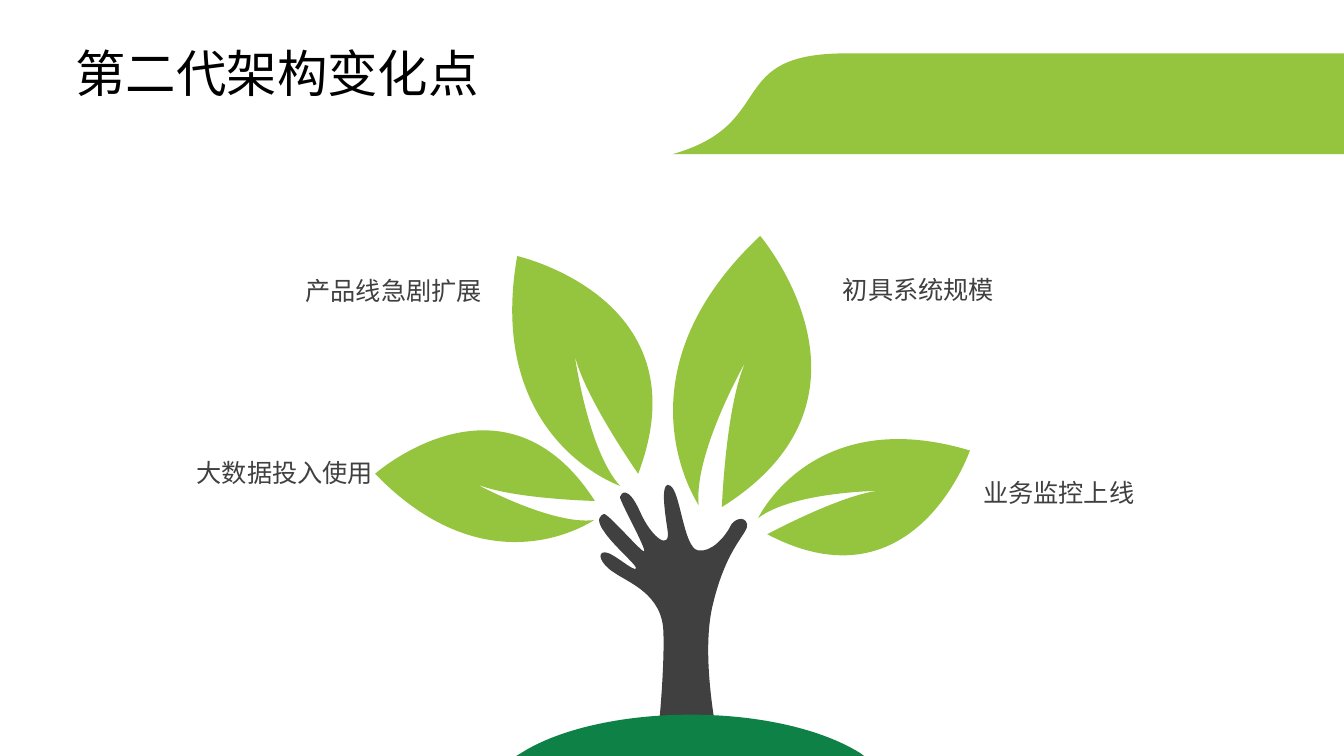
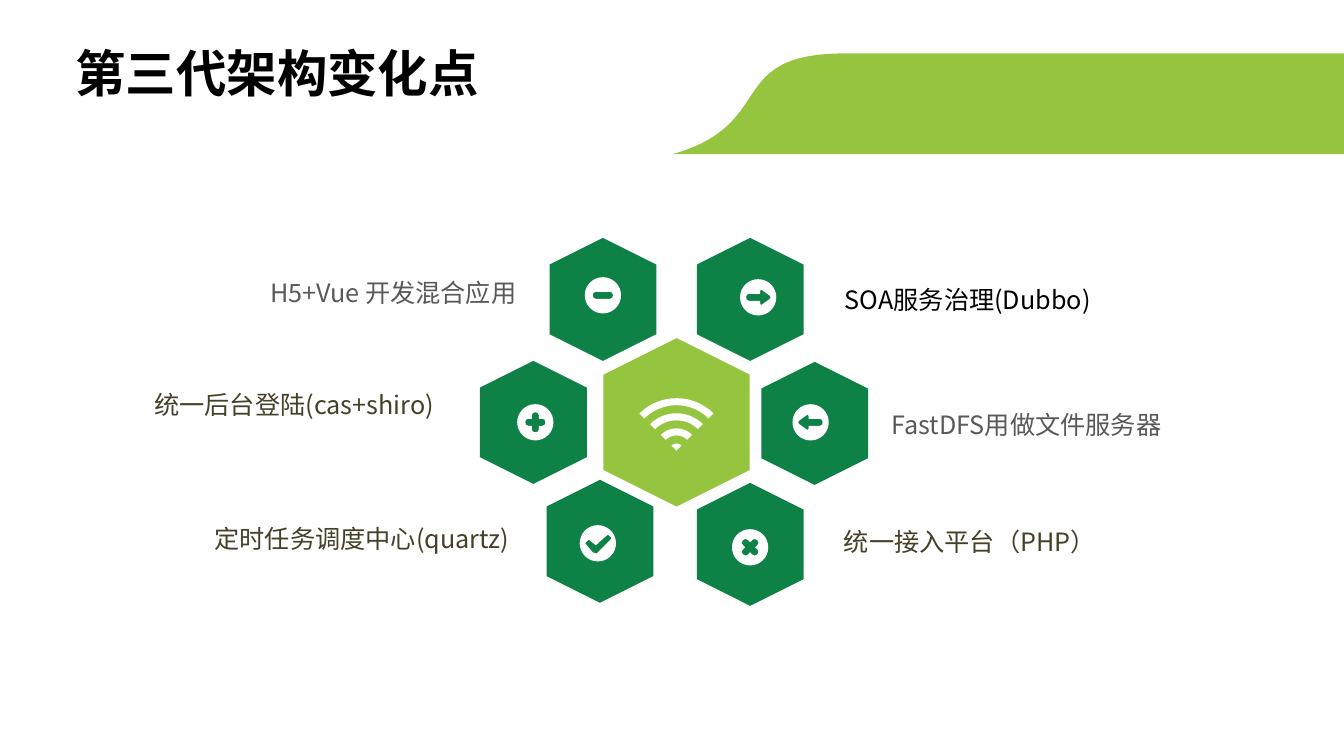
import math
from dataclasses import dataclass

from lxml import etree
from pptx import Presentation
from pptx.dml.color import RGBColor
from pptx.enum import shapes, text
from pptx.oxml import ns
from pptx.util import Inches, Pt


@dataclass(frozen=True)
class Theme:
    lime: str = "95C53E"
    green: str = "0E8146"
    charcoal: str = "404040"
    gray: str = "595959"
    olive: str = "454027"
    black: str = "000000"
    white: str = "FFFFFF"
    latin: str = "Calibri"
    chinese: str = "Noto Sans CJK SC"
    title_size: int = 36
    label_size: int = 18


THEME = Theme()
LEFT, RIGHT = text.PP_ALIGN.LEFT, text.PP_ALIGN.RIGHT

# Outlines: a start point, then segments. Two numbers make a line, six a Bezier
# curve, four a curve whose first control point is the current point.
BAND = [(8.39, 0.53), (13.33, 0.53), (13.33, 1.53), (6.67, 1.53),
        (7.73, 1.23, 7.17, 0.53, 8.39, 0.53)]
HAND = [
    (6.62, 4.81), (6.63, 4.81, 6.64, 4.81, 6.65, 4.82),
    (6.75, 4.88, 6.78, 5.43, 6.92, 5.46), (7.06, 5.49, 7.2, 5.31, 7.24, 5.23),
    (7.27, 5.15, 7.39, 5.11, 7.41, 5.2), (7.43, 5.29, 7.21, 5.41, 7.07, 6),
    (6.99, 6.33, 7.03, 6.78, 7.08, 7.11), (7.09, 7.17), (6.54, 7.17), (6.54, 7.16),
    (6.56, 6.93, 6.59, 6.53, 6.58, 6.27), (6.57, 5.89, 6.23, 5.78, 6.09, 5.68),
    (5.95, 5.59, 5.92, 5.48, 6, 5.48), (6.08, 5.48, 6.29, 5.68, 6.31, 5.64),
    (6.32, 5.61, 6.07, 5.4, 5.99, 5.27), (5.9, 5.15, 5.96, 5.11, 5.99, 5.1),
    (6.03, 5.09, 6.37, 5.49, 6.39, 5.47), (6.41, 5.44, 6.14, 4.96, 6.15, 4.93),
    (6.16, 4.89, 6.23, 4.81, 6.35, 5.08), (6.47, 5.35, 6.66, 5.47, 6.62, 5.25),
    (6.59, 5.05, 6.56, 4.83, 6.62, 4.81),
]
LEAVES = [
    [(6.93, 5.01), (6.06, 3.73, 7.54, 2.34), (8.9, 3.94, 7.16, 5.03),
     (7.2, 4, 7.4, 3.58), (6.88, 4.49, 6.93, 5.01)],
    [(7.52, 5.14), (8.06, 4, 9.62, 4.47), (9.07, 6.07, 7.61, 5.3),
     (8.34, 4.91, 8.71, 4.87), (7.86, 4.88, 7.52, 5.14)],
    [(5.89, 5.16), (4.86, 5.88, 3.72, 4.7), (5, 3.57, 5.9, 4.97),
     (5.06, 4.95, 4.72, 4.8), (5.47, 5.21, 5.89, 5.16)],
    [(6.15, 4.82), (4.81, 4.36, 5.13, 2.54), (6.99, 2.96, 6.33, 4.7),
     (5.79, 3.93, 5.7, 3.52), (5.83, 4.47, 6.15, 4.82)],
]
HILL = [(6.85, 7.09), (7.55, 7.09, 8.16, 7.24, 8.53, 7.47), (8.57, 7.5), (5.12, 7.5),
        (5.17, 7.47), (5.53, 7.24, 6.15, 7.09, 6.85, 7.09)]

# Labels of the tree: text, box, alignment
TREE_TITLE = "第二代架构变化点"
TREE_LABELS = [
    ("大数据投入使用", (0.42, 4.34, 3.41, 0.54), RIGHT),
    ("产品线急剧扩展", (1.5, 2.51, 3.41, 0.59), RIGHT),
    ("初具系统规模", (8.23, 2.5, 3.28, 0.59), LEFT),
    ("业务监控上线", (9.62, 4.54, 3.41, 0.54), LEFT),
]

# Labels of the hexagons: text, box, alignment, colour, line spacing
HEXAGON_TITLE = "第三代架构变化点"
HEXAGON_LABELS = [
    ("H5+Vue 开发混合应用", (0.9, 2.59, 4.35, 0.53), RIGHT, THEME.gray, 1.3),
    ("统一后台登陆(cas+shiro) ", (0.74, 3.79, 3.75, 0.44), RIGHT, THEME.olive, 1.0),
    ("定时任务调度中心(quartz) ", (1.31, 5.12, 3.93, 0.44), RIGHT, THEME.olive, 1.0),
    ("FastDFS用做文件服务器", (8.71, 3.99, 3.93, 0.44), LEFT, THEME.gray, 1.0),
    ("SOA服务治理(Dubbo)", (8.25, 2.75, 3.93, 0.44), LEFT, THEME.black, 1.0),
    ("统一接入平台（PHP）", (8.24, 5.15, 3.78, 0.44), LEFT, THEME.olive, 1.0),
]

# Icon glyphs, drawn around the centre of a disc
DISC_RADIUS = 0.18
STROKE = 0.07
HALF = STROKE / 2
MINUS = [(0.07, HALF), (-0.07, HALF), (-0.09, HALF, -0.1, 0.02, -0.1, 0),
         (-0.1, -0.02, -0.09, -HALF, -0.07, -HALF), (0.07, -HALF),
         (0.09, -HALF, 0.1, -0.02, 0.1, 0), (0.1, 0.02, 0.09, HALF, 0.07, HALF)]
PLUS_ARM = [(HALF, HALF), (HALF, 0.07), (HALF, 0.09, 0.02, 0.1, 0, 0.1),
            (-0.02, 0.1, -HALF, 0.09, -HALF, 0.07)]
CHECK = [(0.12, -0.03), (0, 0.09), (0, 0.1, -0.01, 0.1, -0.02, 0.1),
         (-0.03, 0.1, -0.04, 0.1, -0.05, 0.09), (-0.11, 0.02),
         (-0.13, 0.01, -0.13, -0.01, -0.11, -0.02),
         (-0.1, -0.04, -0.08, -0.04, -0.07, -0.02), (-0.02, 0.02), (0.08, -0.07),
         (0.09, -0.09, 0.11, -0.09, 0.12, -0.07), (0.14, -0.06, 0.14, -0.04, 0.12, -0.03)]
ARROW = [(0.11, 0.02), (0.04, 0.07), (0.03, 0.08, 0.02, 0.08, 0.02, 0.06), (0.02, HALF),
         (-0.09, HALF), (-0.11, HALF, -0.12, 0.02, -0.12, 0),
         (-0.12, -0.02, -0.11, -HALF, -0.09, -HALF), (0.02, -HALF), (0.02, -0.06),
         (0.02, -0.08, 0.03, -0.08, 0.04, -0.07), (0.11, -0.02),
         (0.13, -0.01, 0.13, 0.01, 0.11, 0.02)]


# Outline geometry
def place(outline, center=(0, 0), turn=0):
    cosine, sine = math.cos(math.radians(turn)), math.sin(math.radians(turn))
    placed = []
    for segment in outline:
        values = ()
        for x, y in zip(segment[::2], segment[1::2]):
            values += (center[0] + x * cosine - y * sine, center[1] + x * sine + y * cosine)
        placed.append(values)
    return placed


def quarter_arc(radius):
    handle = radius * 0.55
    return [(radius, 0), (radius, handle, handle, radius, 0, radius)]


def reverse_arc(arc):
    (x, y), (x1, y1, x2, y2, end_x, end_y) = arc
    return [(end_x, end_y), (x2, y2, x1, y1, x, y)]


def four_turns(outline):
    return [segment for turn in (0, 90, 180, 270) for segment in place(outline, turn=turn)]


PLUS = four_turns(PLUS_ARM)
DISC = [(DISC_RADIUS, 0)] + four_turns(quarter_arc(DISC_RADIUS)[1:])

# Hexagon centre, glyph, glyph turn, disc turn, icon centre
HEXAGONS = [
    ((7.44, 2.97), ARROW, 0, 45, (7.52, 2.95)),
    ((5.98, 2.97), MINUS, 0, 0, (5.98, 2.93)),
    ((8.08, 4.2), ARROW, 180, 45, (8.04, 4.19)),
    ((7.44, 5.4), PLUS, 45, 45, (7.44, 5.43)),
    ((5.95, 5.37), CHECK, 0, 45, (5.93, 5.39)),
    ((5.29, 4.19), PLUS, 0, 0, (5.31, 4.19)),
]
HEXAGON_SIZE, HUB_SIZE = (1.22, 1.06), (1.67, 1.45)
HUB_CENTER = (6.71, 4.19)
SIGNAL_CENTER, SIGNAL_RADII = (6.71, 4.47), (0.52, 0.37, 0.22, 0.07)


# Shared drawing helpers
def paint(shape, color):
    shape.shadow.inherit = False
    shape.fill.solid()
    shape.fill.fore_color.rgb = RGBColor.from_string(color)
    shape.line.fill.background()


def pairs(segment):
    return [(Inches(x), Inches(y)) for x, y in zip(segment[::2], segment[1::2])]


def add_outline(slide, contours, color):
    # The frame spans all points and handles; curves then replace the straight lines
    corners = [point for contour in contours for segment in contour for point in pairs(segment)]
    builder = slide.shapes.build_freeform(*corners[0])
    builder.add_line_segments(corners[1:], close=True)
    shape = builder.convert_to_shape()
    geometry = shape._element.find(".//" + ns.qn("a:path"))
    for child in list(geometry):
        geometry.remove(child)
    for contour in contours:
        current = None
        for segment in contour:
            points = pairs(segment)
            if len(points) == 2:
                points.insert(0, current)
            kind = "moveTo" if current is None else "lnTo" if len(points) == 1 else "cubicBezTo"
            command = etree.SubElement(geometry, ns.qn("a:" + kind))
            for x, y in points:
                etree.SubElement(command, ns.qn("a:pt"), x=str(x - shape.left),
                                 y=str(y - shape.top))
            current = points[-1]
        etree.SubElement(geometry, ns.qn("a:close"))
    paint(shape, color)


def add_hexagon(slide, center, size, color):
    (x, y), (width, height) = center, size
    shape = slide.shapes.add_shape(shapes.MSO_SHAPE.HEXAGON, Inches(x - width / 2),
                                   Inches(y - height / 2), Inches(width), Inches(height))
    shape.rotation = 90
    shape.adjustments[0] = 0.25
    paint(shape, color)


def add_text(slide, content, box, size, color, font=THEME.latin, bold=False, align=LEFT,
             spacing=1.0, anchor=text.MSO_ANCHOR.TOP, wrap=True, insets=(0.13, 0.07)):
    frame = slide.shapes.add_textbox(*map(Inches, box)).text_frame
    frame.text = content
    frame.word_wrap = wrap
    frame.auto_size = text.MSO_AUTO_SIZE.SHAPE_TO_FIT_TEXT
    frame.vertical_anchor = anchor
    frame.margin_left = frame.margin_right = Inches(insets[0])
    frame.margin_top = frame.margin_bottom = Inches(insets[1])
    paragraph = frame.paragraphs[0]
    paragraph.alignment = align
    paragraph.line_spacing = spacing
    run = paragraph.runs[0]
    run.font.size = Pt(size)
    run.font.bold = bold
    run.font.color.rgb = RGBColor.from_string(color)
    run.font.name = font
    east_asian = etree.SubElement(run._r.get_or_add_rPr(), ns.qn("a:ea"))
    east_asian.set("typeface", THEME.chinese)


def add_slide(presentation, title, bold=False):
    slide = presentation.slides.add_slide(presentation.slide_layouts[6])
    add_text(slide, title, (0.65, 0.37, 4.24, 0.71), THEME.title_size, THEME.black,
             bold=bold, wrap=False, insets=(0.1, 0.05))
    return slide


def add_band(slide):
    add_outline(slide, [BAND], THEME.lime)


# Hand-shaped tree with four leaves
def build_tree(presentation):
    slide = add_slide(presentation, TREE_TITLE)
    add_outline(slide, [HAND], THEME.charcoal)
    for leaf in LEAVES:
        add_outline(slide, [leaf], THEME.lime)
    for content, box, align in TREE_LABELS:
        add_text(slide, content, box, THEME.label_size, THEME.charcoal, align=align,
                 spacing=1.5, anchor=text.MSO_ANCHOR.MIDDLE)
    add_outline(slide, [HILL], THEME.green)
    add_band(slide)


# Signal symbol: quarter rings around one centre
def add_signal(slide):
    rings = [quarter_arc(radius) + reverse_arc(quarter_arc(radius - STROKE))
             for radius in SIGNAL_RADII]
    add_outline(slide, [place(ring, SIGNAL_CENTER, -135) for ring in rings], THEME.white)


# Six hexagons around a hub
def build_hexagons(presentation):
    slide = add_slide(presentation, HEXAGON_TITLE, bold=True)
    for center, *_ in HEXAGONS:
        add_hexagon(slide, center, HEXAGON_SIZE, THEME.green)
    add_hexagon(slide, HUB_CENTER, HUB_SIZE, THEME.lime)
    add_signal(slide)
    for _, glyph, glyph_turn, disc_turn, center in HEXAGONS:
        add_outline(slide, [place(DISC, center, disc_turn), place(glyph, center, glyph_turn)],
                    THEME.white)
    for content, box, align, color, spacing in HEXAGON_LABELS:
        add_text(slide, content, box, THEME.label_size, color, font=THEME.chinese,
                 align=align, spacing=spacing)
    add_band(slide)


def main():
    presentation = Presentation()
    presentation.slide_width, presentation.slide_height = Inches(13.33), Inches(7.5)
    build_tree(presentation)
    build_hexagons(presentation)
    presentation.save("out.pptx")


if __name__ == "__main__":
    main()
